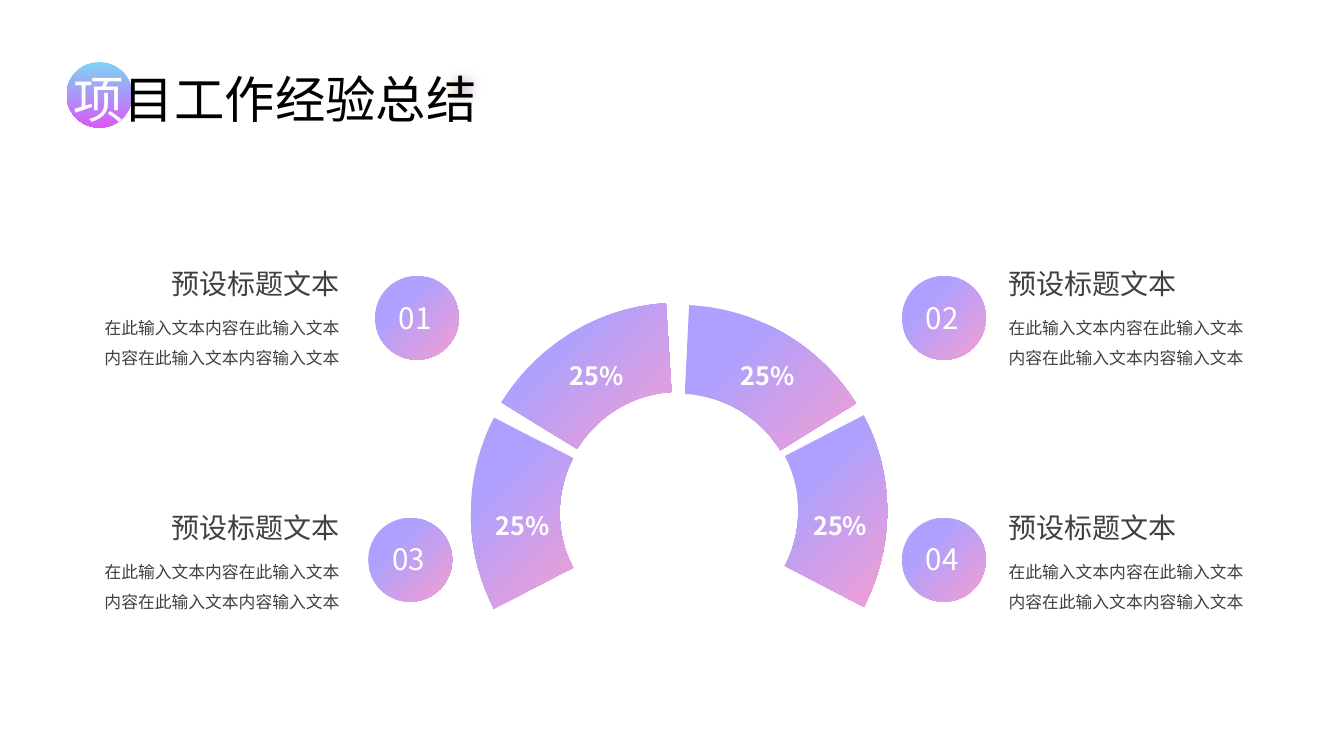
import math
import pptx
import pptx.dml.color
import pptx.enum.shapes
import pptx.enum.text
import pptx.util
import lxml.etree

Pt = pptx.util.Pt
qn = pptx.oxml.ns.qn
ALIGN = pptx.enum.text.PP_ALIGN
ANCHOR = pptx.enum.text.MSO_ANCHOR
GROW = {"auto_size": pptx.enum.text.MSO_AUTO_SIZE.SHAPE_TO_FIT_TEXT}

FONT = "Noto Sans CJK SC"
WHITE, BLACK, GRAY = "FFFFFF", "000000", "404040"
LILAC_PINK = [(0.29, "ADA0FF"), (1, "F39ED2")]
SKY_MAGENTA = [(0, "7DD3F4"), (1, "DA59F5")]
YELLOW_LILAC = [(0, "FBE779"), (1, "ADA0FF")]

TITLE = [("项", WHITE), ("目工作经验总结", BLACK)]
HEADING = "预设标题文本"
BODY = "在此输入文本内容在此输入文本内容在此输入文本内容输入文本"

ITEMS = [
    {"number": "01", "row": 0, "side": "left", "circle_left": 267.8},
    {"number": "02", "row": 0, "side": "right", "circle_left": 644.2},
    {"number": "03", "row": 1, "side": "left", "circle_left": 263},
    {"number": "04", "row": 1, "side": "right", "circle_left": 644.2},
]
SIDES = {
    "left": {"heading_left": 104.4, "body_left": 56.7, "align": ALIGN.RIGHT},
    "right": {"heading_left": 713.3, "body_left": 713.3, "align": ALIGN.LEFT},
}
SEGMENTS = [
    {"angles": (93.6, 148.6), "center_y": 365, "label": "25%", "label_at": (400, 253.9)},
    {"angles": (-27.4, 27.4), "center_y": 365, "label": "25%", "label_at": (573.8, 360.7)},
    {"angles": (31.8, 87.2), "center_y": 366.5, "label": "25%", "label_at": (522, 253.9)},
    {"angles": (152.7, 207.3), "center_y": 366.5, "label": "25%", "label_at": (347, 360.7)},
]
CENTER_X, OUTER_RADIUS, INNER_RADIUS = 485, 148.7, 85.2
ROW_GAP = 174.4
CIRCLE_TOP, CIRCLE_GAP, CIRCLE_SIZE = 197, 172.8, 60

presentation = pptx.Presentation()
presentation.slide_width = Pt(960)
presentation.slide_height = Pt(540)
slide = presentation.slides.add_slide(presentation.slide_layouts[6])


def color(hex_string):
    return pptx.dml.color.RGBColor.from_string(hex_string)


def apply(target, values):
    for name, value in values.items():
        setattr(target, name, value)


def paint(shape, stops, angle):
    shape.shadow.inherit = False
    shape.line.fill.background()
    shape.fill.gradient()
    shape.fill.gradient_angle = -angle % 360
    for stop, (position, hex_string) in zip(shape.fill.gradient_stops, stops):
        stop.position = position
        stop.color.rgb = color(hex_string)


def add_circle(left, top, size, stops, angle):
    kind = pptx.enum.shapes.MSO_SHAPE.OVAL
    shape = slide.shapes.add_shape(kind, Pt(left), Pt(top), Pt(size), Pt(size))
    paint(shape, stops, angle)
    return shape


def add_text(box, runs, size, bold=False, frame_values=GROW, paragraph_values=None):
    shape = slide.shapes.add_textbox(*(Pt(value) for value in box))
    apply(shape.text_frame, {"word_wrap": True, **frame_values})
    paragraph = shape.text_frame.paragraphs[0]
    apply(paragraph, paragraph_values or {})
    for text, hex_string in runs:
        run = paragraph.add_run()
        run.text = text
        apply(run.font, {"name": FONT, "size": Pt(size), "bold": bold})
        run.font.color.rgb = color(hex_string)
        east_asian = lxml.etree.SubElement(run.font._element, qn("a:ea"))
        east_asian.set("typeface", FONT)


def add_segment(angles, center_y):
    start, end = angles
    middle = (start + end) / 2
    corners = [(OUTER_RADIUS, start), (OUTER_RADIUS, middle), (OUTER_RADIUS, end),
               (INNER_RADIUS, end), (INNER_RADIUS, middle), (INNER_RADIUS, start)]

    def point(radius, degrees):
        angle = math.radians(degrees)
        return (Pt(CENTER_X + radius * math.cos(angle)),
                Pt(center_y - radius * math.sin(angle)))

    outline = [point(*corner) for corner in corners]
    builder = slide.shapes.build_freeform(*outline[0])
    builder.add_line_segments(outline[1:], close=True)
    shape = builder.convert_to_shape()
    lines = list(shape._element.iter(qn("a:lnTo")))
    for line, (radius, begin), (end_radius, finish) in zip(lines, corners, corners[1:]):
        if radius != end_radius:
            continue
        handle = 4 / 3 * math.tan(math.radians(finish - begin) / 4)
        line.tag = qn("a:cubicBezTo")
        for index, (degrees, reach) in enumerate([(begin, handle), (finish, -handle)]):
            x, y = point(radius, degrees)
            angle = math.radians(degrees)
            control = lxml.etree.Element(qn("a:pt"))
            control.set("x", str(round(x - shape.left - Pt(radius) * reach * math.sin(angle))))
            control.set("y", str(round(y - shape.top - Pt(radius) * reach * math.cos(angle))))
            line.insert(index, control)
    paint(shape, LILAC_PINK, 45)


add_circle(47.5, 44.4, 46.8, SKY_MAGENTA, 90)
glow = add_circle(309.6, 42.5, 40.3, YELLOW_LILAC, 0)
effects = glow._element.spPr.find(qn("a:effectLst"))
soft_edge = lxml.etree.SubElement(effects, qn("a:softEdge"))
soft_edge.set("rad", str(Pt(10)))
add_text((45.4, 45, 313.9, 51.1), TITLE, 36)

for segment in SEGMENTS:
    add_segment(segment["angles"], segment["center_y"])

for item in ITEMS:
    side = SIDES[item["side"]]
    circle_top = CIRCLE_TOP + item["row"] * CIRCLE_GAP
    row_offset = item["row"] * ROW_GAP
    add_circle(item["circle_left"], circle_top, CIRCLE_SIZE, LILAC_PINK, 45)
    add_text((item["circle_left"] + 4.7, circle_top + 7.3, 48.2, 39.6),
             [(item["number"], WHITE)], 21.1,
             frame_values={"vertical_anchor": ANCHOR.MIDDLE, "margin_left": 0,
                           "margin_right": 0, "margin_top": Pt(7.9),
                           "margin_bottom": Pt(7.9)},
             paragraph_values={"alignment": ALIGN.CENTER, "line_spacing": 1.2})
    add_text((side["body_left"], 216 + row_offset, 193, 48.2), [(BODY, GRAY)], 12,
             paragraph_values={"alignment": side["align"], "line_spacing": 1.5})
    add_text((side["heading_left"], 186.6 + row_offset, 145.4, 31.7), [(HEADING, GRAY)], 20,
             paragraph_values={"alignment": side["align"]})

for segment in SEGMENTS:
    add_text((*segment["label_at"], 54, 28.8), [(segment["label"], WHITE)], 18, bold=True,
             frame_values={**GROW, "word_wrap": False})

presentation.save("out.pptx")
